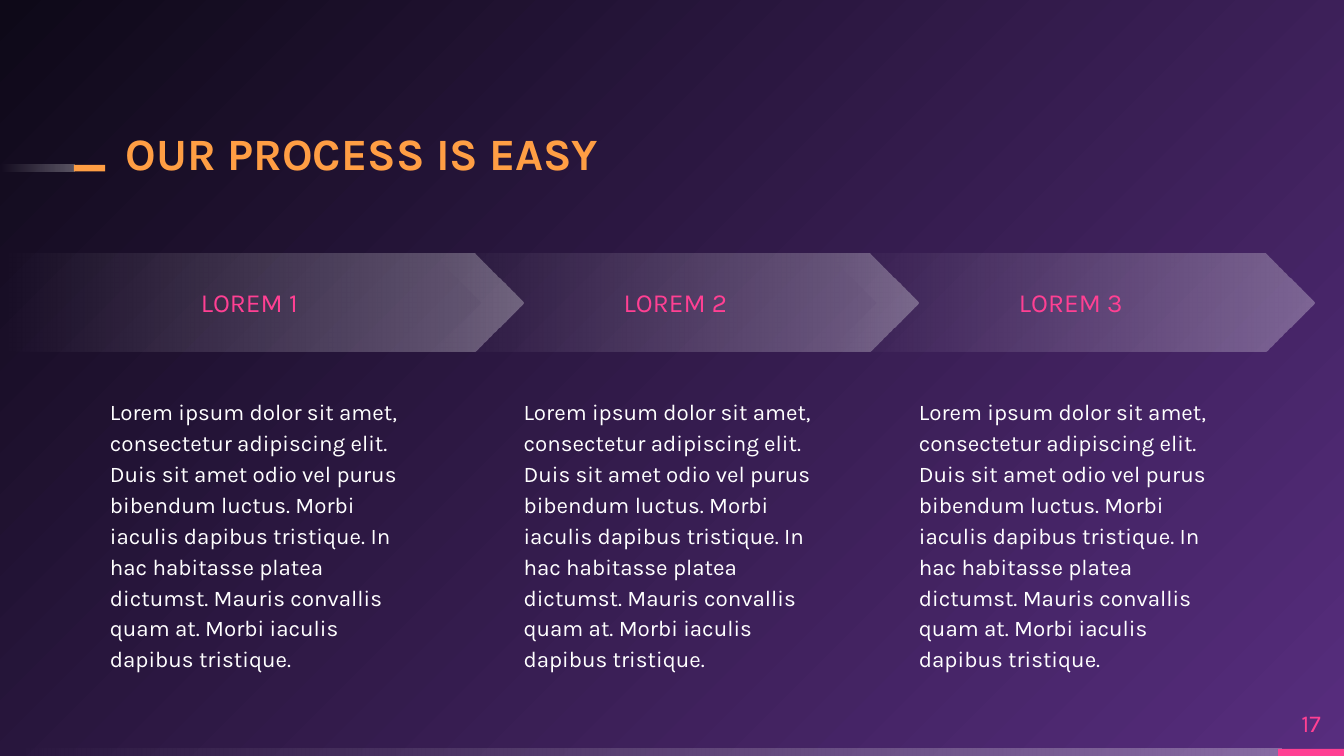
from lxml.etree import SubElement
from pptx import Presentation
from pptx.dml.color import RGBColor
from pptx.enum.shapes import MSO_SHAPE
from pptx.enum.text import MSO_ANCHOR, MSO_AUTO_SIZE, PP_ALIGN
from pptx.oxml.ns import qn
from pptx.util import Pt

FONT = "Karla"
PINK, ORANGE, WHITE = "FF4093", "FF9E44", "FFFFFF"
FADE = [(0, WHITE, 30), (100, WHITE, 0)]
BODY = (
    "Lorem ipsum dolor sit amet, consectetur adipiscing elit. Duis sit amet "
    "odio vel purus bibendum luctus. Morbi iaculis dapibus tristique. In hac "
    "habitasse platea dictumst. Mauris convallis quam at. Morbi iaculis "
    "dapibus tristique."
)


def color(value):
    return RGBColor.from_string(value)


def set_gradient(fill, parent, stops, angle=None):
    """Fill with (position, colour, opacity) stops; radial without an angle."""
    fill.gradient()
    gradient = parent.find(qn("a:gradFill"))
    for child in list(gradient):
        gradient.remove(child)
    stop_list = SubElement(gradient, qn("a:gsLst"))
    for position, value, opacity in stops:
        stop = SubElement(stop_list, qn("a:gs"), pos=str(position * 1000))
        stop_color = SubElement(stop, qn("a:srgbClr"), val=value)
        if opacity < 100:
            SubElement(stop_color, qn("a:alpha"), val=str(opacity * 1000))
    if angle is None:
        radial = SubElement(gradient, qn("a:path"), path="circle")
        SubElement(radial, qn("a:fillToRect"), l="100000", t="100000")
    else:
        SubElement(gradient, qn("a:lin"), ang=str(angle * 60000), scaled="0")


def add_block(slide, kind, box, value=None):
    """Add a shape in a solid colour, or fading to the left without one."""
    shape = slide.shapes.add_shape(kind, *map(Pt, box))
    shape.shadow.inherit = False
    shape.line.fill.background()
    if value:
        shape.fill.solid()
        shape.fill.fore_color.rgb = color(value)
    else:
        set_gradient(shape.fill, shape._element.spPr, FADE, angle=180)
    return shape


def write(shape, text, size, value, margin=0, anchor=MSO_ANCHOR.MIDDLE,
          align=PP_ALIGN.CENTER, spacing=1.0, bold=False):
    frame = shape.text_frame
    frame.text = text
    frame.word_wrap = True
    frame.auto_size = MSO_AUTO_SIZE.NONE
    frame.vertical_anchor = anchor
    frame.margin_left = frame.margin_right = Pt(margin)
    frame.margin_top = frame.margin_bottom = Pt(margin)
    paragraph = frame.paragraphs[0]
    paragraph.alignment = align
    paragraph.line_spacing = spacing
    font = paragraph.runs[0].font
    font.name, font.size, font.bold = FONT, Pt(size), bold
    font.color.rgb = color(value)


def add_header(slide, left, top, width, height):
    # Fading dash with an orange tip
    dash_top = top + 23
    add_block(slide, MSO_SHAPE.RECTANGLE, (left, dash_top, 40, 3.6))
    add_block(slide, MSO_SHAPE.RECTANGLE, (left + 39.6, dash_top, 16.8, 3.6), ORANGE)
    # Title
    title = slide.shapes.title
    title.left, title.top = Pt(left + 67.5), Pt(top)
    title.width, title.height = Pt(width - 67.5), Pt(height)
    write(title, "OUR PROCESS IS EASY", 24, ORANGE, anchor=MSO_ANCHOR.BOTTOM,
          align=PP_ALIGN.LEFT, spacing=0.9, bold=True)


def add_footer(slide, left, top, width, height):
    # Bar with a pink end below the page number
    end_width, bar_height = 35.3, 3.8
    end_left = left + width - end_width
    bar_top = top + height - bar_height
    add_block(slide, MSO_SHAPE.RECTANGLE, (left, bar_top, end_left + 2, bar_height))
    add_block(slide, MSO_SHAPE.RECTANGLE, (end_left, bar_top, end_width, bar_height), PINK)
    number = slide.shapes.add_textbox(
        Pt(end_left), Pt(top), Pt(end_width), Pt(height - bar_height))
    write(number, "17", 13, PINK)


def add_process(slide, left, top, width, height):
    arrow_height, arrow_width, pitch = 52.8, 260.6, 211.8
    text_top, text_width = top + 68.4, 176.4
    first_chevron = left + width - arrow_width - 2 * pitch
    for index in range(3):
        # Arrow: the first one starts flat at the slide's edge
        arrow_left = first_chevron + index * pitch
        text_left = arrow_left + 41.8
        kind = MSO_SHAPE.CHEVRON
        box = (arrow_left, top, arrow_width, arrow_height)
        if index == 0:
            kind = MSO_SHAPE.PENTAGON
            box = (left, top, first_chevron + arrow_width - left, arrow_height)
            text_left = left + 51.8
        arrow = add_block(slide, kind, box)
        arrow.adjustments[0] = 0.5
        write(arrow, f"LOREM {index + 1}", 14, PINK, margin=7.2)
        # Description
        description = slide.shapes.add_textbox(
            Pt(text_left), Pt(text_top), Pt(text_width), Pt(top + height - text_top))
        write(description, BODY, 12, WHITE, margin=7.2, anchor=MSO_ANCHOR.TOP,
              align=PP_ALIGN.LEFT, spacing=1.15)


def main():
    presentation = Presentation()
    presentation.slide_width, presentation.slide_height = Pt(720), Pt(405)
    slide = presentation.slides.add_slide(presentation.slide_layouts[5])

    # Background
    fill = slide.background.fill
    background = slide._element.cSld.find(qn("p:bg")).find(qn("p:bgPr"))
    set_gradient(fill, background, [(0, "572D7E", 100), (100, "0E0918", 100)])

    add_footer(slide, 0, 373.7, 720, 31.3)
    add_header(slide, 0, 65.3, 485, 31)
    add_process(slide, 0, 135.6, 704, 210)
    presentation.save("out.pptx")


if __name__ == "__main__":
    main()
